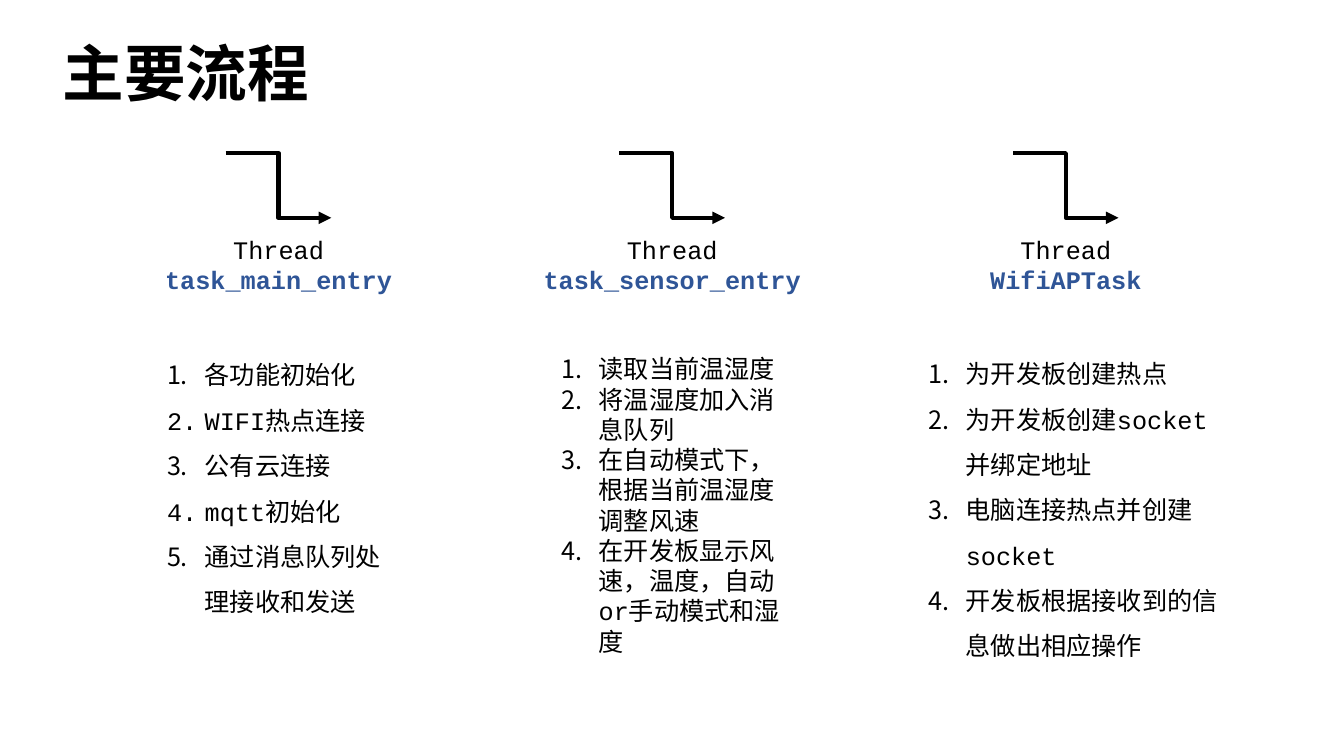
from dataclasses import dataclass

from lxml import etree
from pptx import Presentation
from pptx import util as u
from pptx.dml.color import RGBColor
from pptx.enum import shapes, text
from pptx.oxml import ns
from pptx.util import Cm


@dataclass(frozen=True)
class Theme:
    ink: RGBColor = RGBColor(0x00, 0x00, 0x00)
    accent: RGBColor = RGBColor(0x2F, 0x55, 0x97)
    code_font: str = "Courier New"
    chinese_font: str = "Noto Sans CJK SC"
    title_size: int = 44
    body_size: int = 18
    arrow_width: int = 3


THEME = Theme()
COLUMN_CENTER = 7.02
COLUMN_PITCH = 9.92
HEADING_WIDTH = 7.9
ARROW_WIDTH = 2.66
LIST_INDENT = 0.95

THREADS = [
    ("task_main_entry", (3.96, 8.56, 6.07, 7.04), 1.5, [
        "各功能初始化",
        "WIFI热点连接",
        "公有云连接",
        "mqtt初始化",
        "通过消息队列处理接收和发送",
    ]),
    ("task_sensor_entry", (13.89, 8.79, 6.07, 7.95), 1.0, [
        "读取当前温湿度",
        "将温湿度加入消息队列",
        "在自动模式下，根据当前温湿度调整风速",
        "在开发板显示风速，温度，自动or手动模式和湿度",
    ]),
    ("WifiAPTask", (23.14, 8.53, 7.9, 8.2), 1.5, [
        "为开发板创建热点",
        "为开发板创建socket并绑定地址",
        "电脑连接热点并创建socket",
        "开发板根据接收到的信息做出相应操作",
    ]),
]


def write(paragraph, words, *, size=THEME.body_size, font=THEME.code_font,
          color=THEME.ink, bold=False, align=text.PP_ALIGN.LEFT, spacing=1.0):
    paragraph.alignment = align
    paragraph.line_spacing = spacing
    run = paragraph.add_run()
    run.text = words
    run.font.size = u.Pt(size)
    run.font.name = font
    run.font.bold = bold
    run.font.color.rgb = color
    east_asian = etree.SubElement(run.font._element, ns.qn("a:ea"))
    east_asian.set("typeface", THEME.chinese_font)


def number(paragraph):
    properties = paragraph._p.get_or_add_pPr()
    properties.set("marL", str(Cm(LIST_INDENT)))
    properties.set("indent", str(-Cm(LIST_INDENT)))
    etree.SubElement(properties, ns.qn("a:buAutoNum")).set("type", "arabicPeriod")


def add_frame(slide, left, top, width, height):
    frame = slide.shapes.add_textbox(
        Cm(left), Cm(top), Cm(width), Cm(height)).text_frame
    frame.word_wrap = True
    return frame


def next_paragraph(frame, index):
    return frame.add_paragraph() if index else frame.paragraphs[0]


def add_title(slide, words):
    title = slide.shapes.title
    title.left, title.top = Cm(1.32), Cm(0.76)
    title.width, title.height = Cm(16.94), Cm(2.13)
    frame = title.text_frame
    frame.word_wrap = True
    frame.auto_size = text.MSO_AUTO_SIZE.NONE
    frame.vertical_anchor = text.MSO_ANCHOR.TOP
    write(frame.paragraphs[0], words, size=THEME.title_size,
          font=THEME.chinese_font, bold=True)


def add_thread_arrow(slide, center):
    left = center - ARROW_WIDTH / 2
    arrow = slide.shapes.add_connector(
        shapes.MSO_CONNECTOR.ELBOW,
        Cm(left), Cm(3.86), Cm(left + ARROW_WIDTH), Cm(5.49))
    arrow.line.color.rgb = THEME.ink
    arrow.line.width = u.Pt(THEME.arrow_width)
    outline = arrow.line._get_or_add_ln()
    etree.SubElement(outline, ns.qn("a:tailEnd")).set("type", "triangle")
    etree.SubElement(arrow._element.spPr, ns.qn("a:effectLst"))


def add_thread_heading(slide, center, task):
    frame = add_frame(slide, center - HEADING_WIDTH / 2, 5.77, HEADING_WIDTH, 1.8)
    write(next_paragraph(frame, 0), "Thread", align=text.PP_ALIGN.CENTER)
    write(next_paragraph(frame, 1), task, color=THEME.accent, bold=True,
          align=text.PP_ALIGN.CENTER)


def add_steps(slide, box, spacing, steps):
    frame = add_frame(slide, *box)
    for index, step in enumerate(steps):
        paragraph = next_paragraph(frame, index)
        write(paragraph, step, spacing=spacing)
        number(paragraph)


def main():
    deck = Presentation()
    deck.slide_width, deck.slide_height = Cm(33.87), Cm(19.05)
    slide = deck.slides.add_slide(deck.slide_layouts.get_by_name("Title Only"))
    add_title(slide, "主要流程")
    for column, (task, box, spacing, steps) in enumerate(THREADS):
        center = COLUMN_CENTER + column * COLUMN_PITCH
        add_thread_arrow(slide, center)
        add_thread_heading(slide, center, task)
        add_steps(slide, box, spacing, steps)
    deck.save("out.pptx")


if __name__ == "__main__":
    main()
